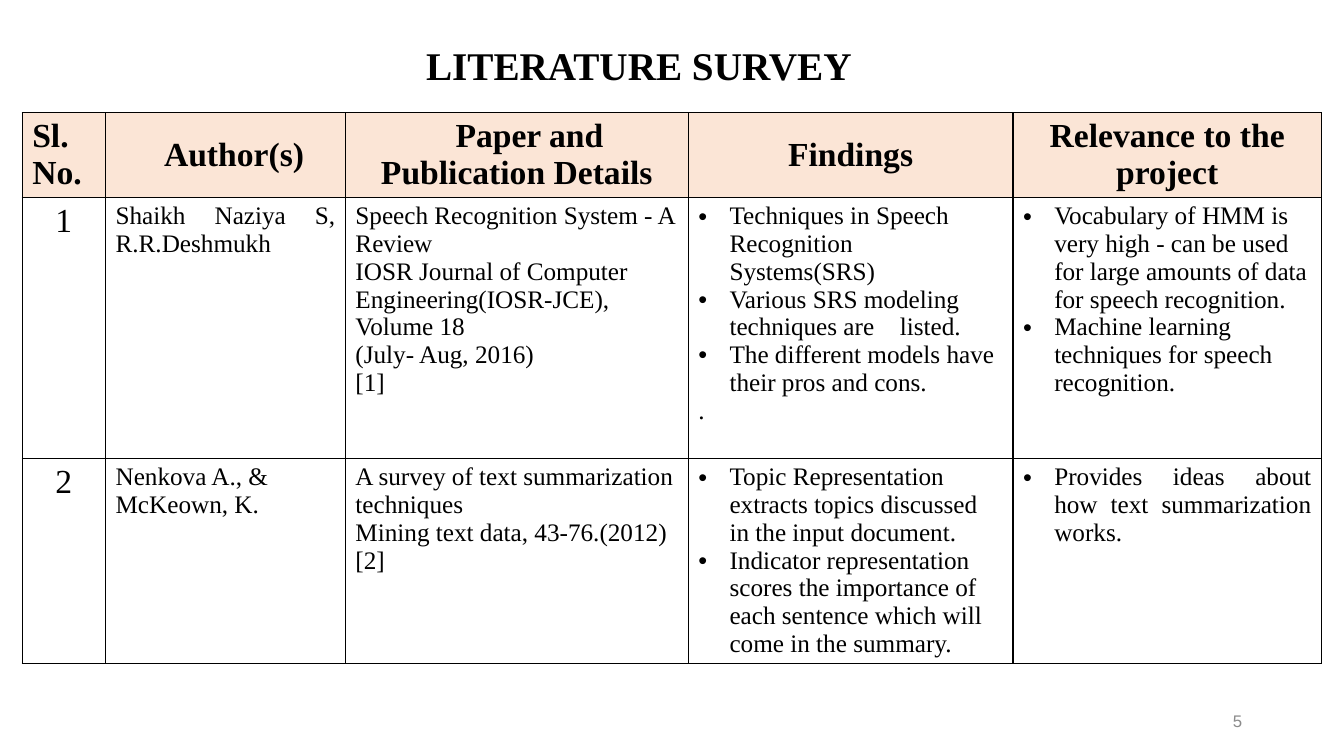
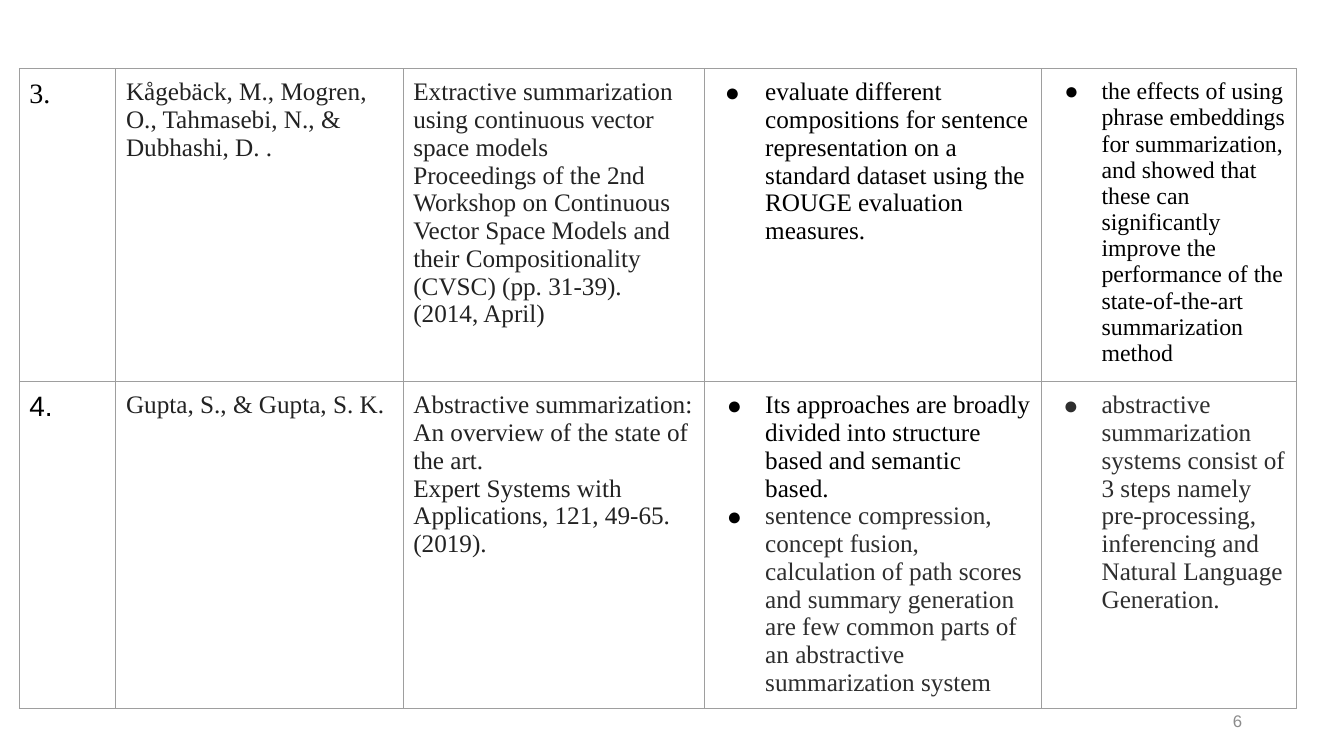
from dataclasses import dataclass, replace
from typing import Optional

from lxml.etree import SubElement
from pptx import Presentation
from pptx.dml.color import RGBColor
from pptx.enum.text import MSO_ANCHOR, PP_ALIGN
from pptx.oxml.ns import qn
from pptx.util import Inches, Pt

# Shared look
SLIDE_WIDTH, SLIDE_HEIGHT = Inches(13.33), Inches(7.5)
SERIF, SANS = "Times New Roman", "Arial"
BLACK, CHARCOAL, SOFT_BLACK = "000000", "222222", "2E2E2E"
HEADER_FILL, PAGE_GREY, BORDER_GREY = "FBE5D6", "8B8B8B", "9E9E9E"
LEFT, CENTER, RIGHT, JUSTIFY = PP_ALIGN.LEFT, PP_ALIGN.CENTER, PP_ALIGN.RIGHT, PP_ALIGN.JUSTIFY
TABLE_LEADING = 1.1  # fixed line height as a multiple of the text size


@dataclass(frozen=True)
class Entry:
    """One paragraph; indents are in inches."""
    text: str
    size: float = 18
    color: str = BLACK
    font: str = SERIF
    bold: bool = False
    align: PP_ALIGN = LEFT
    margin: float = 0
    first_line: float = 0
    bullet: str = ""
    bullet_color: str = BLACK


@dataclass(frozen=True)
class Box:
    """Position and size in percent of the slide."""
    left: float
    top: float
    width: float
    height: float


@dataclass(frozen=True)
class Survey:
    """A table; columns and rows are in percent of the slide."""
    left: float
    top: float
    columns: list[float]
    rows: list[float]
    cells: list[list[list[Entry]]]
    border_color: str
    border_points: float
    vertical_inset: float
    has_header: bool = False


@dataclass(frozen=True)
class Page:
    number: str
    survey: Survey
    title: Optional[str] = None


TITLE_BOX = Box(1.88, 2.93, 91.3, 12)
NUMBER_BOX = Box(70.67, 92.67, 22.5, 5.33)


def across(percent: float) -> int:
    return round(SLIDE_WIDTH * percent / 100)


def down(percent: float) -> int:
    return round(SLIDE_HEIGHT * percent / 100)


def color_of(hex_color: str) -> RGBColor:
    return RGBColor.from_string(hex_color)


# Kinds of entries
def header(text: str, align: PP_ALIGN = CENTER, first_line: float = 0) -> list[Entry]:
    return [Entry(text, 24, bold=True, align=align, first_line=first_line)]


def number(text: str) -> list[Entry]:
    return [Entry(text, 24, align=CENTER)]


def plain(*texts: str, color: str = BLACK) -> list[Entry]:
    return [Entry(text, color=color) for text in texts]


def dots(*texts: str) -> list[Entry]:
    return [Entry(text, margin=0.31, first_line=-0.31, bullet="•") for text in texts]


def disc(text: str, color: str = BLACK, size: float = 18, hanging: float = 0.38,
         bullet_color: str = BLACK) -> Entry:
    return Entry(text, size, color, margin=0.5, first_line=-hanging, bullet="●",
                 bullet_color=bullet_color)


# Drawing
def write_entries(text_frame, entries: list[Entry]) -> None:
    text_frame.text = "\n".join(entry.text for entry in entries)
    for paragraph, entry in zip(text_frame.paragraphs, entries):
        paragraph.alignment = entry.align
        paragraph.line_spacing = Pt(entry.size * TABLE_LEADING)
        for run in paragraph.runs:
            run.font.size = Pt(entry.size)
            run.font.name = entry.font
            run.font.bold = entry.bold
            run.font.color.rgb = color_of(entry.color)
        properties = paragraph._p.get_or_add_pPr()
        properties.set("marL", str(Inches(entry.margin)))
        properties.set("indent", str(Inches(entry.first_line)))
        if entry.bullet:
            bullet_color = SubElement(properties, qn("a:buClr"))
            SubElement(bullet_color, qn("a:srgbClr"), val=entry.bullet_color)
            SubElement(properties, qn("a:buFont"), typeface=SANS)
            SubElement(properties, qn("a:buChar"), char=entry.bullet)


def add_text(slide, box: Box, entry: Entry, line_spacing: float = 1.0) -> None:
    shape = slide.shapes.add_textbox(across(box.left), down(box.top),
                                     across(box.width), down(box.height))
    text_frame = shape.text_frame
    text_frame.word_wrap = True
    text_frame.vertical_anchor = MSO_ANCHOR.MIDDLE
    write_entries(text_frame, [entry])
    text_frame.paragraphs[0].line_spacing = line_spacing


def add_borders(cell, hex_color: str, points: float) -> None:
    properties = cell._tc.get_or_add_tcPr()
    for side in ("a:lnL", "a:lnR", "a:lnT", "a:lnB"):
        line = SubElement(properties, qn(side), w=str(Pt(points)))
        fill = SubElement(line, qn("a:solidFill"))
        SubElement(fill, qn("a:srgbClr"), val=hex_color)


def add_survey(slide, survey: Survey) -> None:
    table = slide.shapes.add_table(
        len(survey.rows), len(survey.columns), across(survey.left), down(survey.top),
        across(sum(survey.columns)), down(sum(survey.rows))).table
    table.first_row = survey.has_header
    table.horz_banding = False
    for column, width in zip(table.columns, survey.columns):
        column.width = across(width)
    for row, height in zip(table.rows, survey.rows):
        row.height = down(height)
    for row_index, row_cells in enumerate(survey.cells):
        for column_index, entries in enumerate(row_cells):
            cell = table.cell(row_index, column_index)
            cell.margin_left = cell.margin_right = Inches(0.1)
            cell.margin_top = cell.margin_bottom = Inches(survey.vertical_inset)
            add_borders(cell, survey.border_color, survey.border_points)
            if survey.has_header and row_index == 0:
                cell.vertical_anchor = MSO_ANCHOR.MIDDLE
                cell.fill.solid()
                cell.fill.fore_color.rgb = color_of(HEADER_FILL)
            else:
                cell.fill.background()
            write_entries(cell.text_frame, entries)


def add_page(presentation, page: Page) -> None:
    slide = presentation.slides.add_slide(presentation.slide_layouts[6])
    if page.title:
        add_text(slide, TITLE_BOX, Entry(page.title, 28, bold=True, align=CENTER), 0.9)
    add_survey(slide, page.survey)
    add_text(slide, NUMBER_BOX, Entry(page.number, 12, PAGE_GREY, SANS, align=RIGHT))


# Content
FIRST_SURVEY = Survey(
    left=1.65, top=14.93,
    columns=[6.2, 17.85, 25.51, 24.16, 22.96], rows=[11.2, 34.53, 27.1],
    border_color=BLACK, border_points=0.96, vertical_inset=0.05, has_header=True,
    cells=[
        [header("Sl. No.", LEFT), header("Author(s)", first_line=0.17),
         header("Paper and Publication Details", first_line=0.25),
         header("Findings"), header("Relevance to the project")],
        [number("1"),
         [Entry("Shaikh Naziya S, R.R.Deshmukh", align=JUSTIFY)],
         plain("Speech Recognition System - A Review",
               "IOSR Journal of Computer Engineering(IOSR-JCE), Volume 18",
               "(July- Aug, 2016)", "[1]"),
         dots("Techniques in Speech Recognition Systems(SRS)",
              "Various SRS modeling techniques are\tlisted.",
              "The different models have their pros and cons.") + plain("."),
         dots("Vocabulary of HMM is very high - can be used for large amounts of data "
              "for speech recognition.",
              "Machine learning techniques for speech recognition.")],
        [number("2"),
         plain("Nenkova A., & McKeown, K."),
         plain("A survey of text summarization techniques",
               "Mining text data, 43-76.(2012)", "[2]"),
         dots("Topic Representation extracts topics discussed in the input document.",
              "Indicator representation scores the importance of each sentence which "
              "will come in the summary."),
         [replace(entry, align=JUSTIFY) for entry in
          dots("Provides ideas about how text summarization works.")]],
    ])

SECOND_SURVEY = Survey(
    left=1.43, top=9.07,
    columns=[7.2, 21.38, 22.43, 25.03, 18.98], rows=[41.4, 43.3],
    border_color=BORDER_GREY, border_points=0.75, vertical_inset=0.1,
    cells=[
        [[Entry("3.", 20)],
         plain("Kågebäck, M., Mogren, O., Tahmasebi, N., & Dubhashi, D. .", color=CHARCOAL),
         plain("Extractive summarization using continuous vector space models",
               "Proceedings of the 2nd Workshop on Continuous Vector Space Models and "
               "their Compositionality (CVSC) (pp. 31-39).",
               "(2014, April)", color=CHARCOAL),
         [disc("evaluate different compositions for sentence representation on a "
               "standard dataset using the ROUGE evaluation measures.", hanging=0.4)],
         [disc("the effects of using phrase embeddings for summarization, and showed "
               "that these can significantly improve the performance of the "
               "state-of-the-art summarization method", size=17, hanging=0.37)]],
        [[Entry("4.", 20, font=SANS)],
         plain("Gupta, S., & Gupta, S. K.", color=CHARCOAL),
         plain("Abstractive summarization: An overview of the state of the art.",
               "Expert Systems with Applications, 121, 49-65.", "(2019).", color=CHARCOAL),
         [disc("Its approaches are broadly divided into structure based and semantic based."),
          disc("sentence compression, concept fusion, calculation of path scores and "
               "summary generation are few common parts of an abstractive "
               "summarization system", SOFT_BLACK)],
         [disc("abstractive summarization systems consist of 3 steps namely "
               "pre-processing, inferencing and Natural Language Generation.",
               SOFT_BLACK, bullet_color=SOFT_BLACK)]],
    ])

PAGES = [Page("5", FIRST_SURVEY, "LITERATURE SURVEY"), Page("6", SECOND_SURVEY)]


def main() -> None:
    presentation = Presentation()
    presentation.slide_width, presentation.slide_height = SLIDE_WIDTH, SLIDE_HEIGHT
    for page in PAGES:
        add_page(presentation, page)
    presentation.save("out.pptx")


if __name__ == "__main__":
    main()
